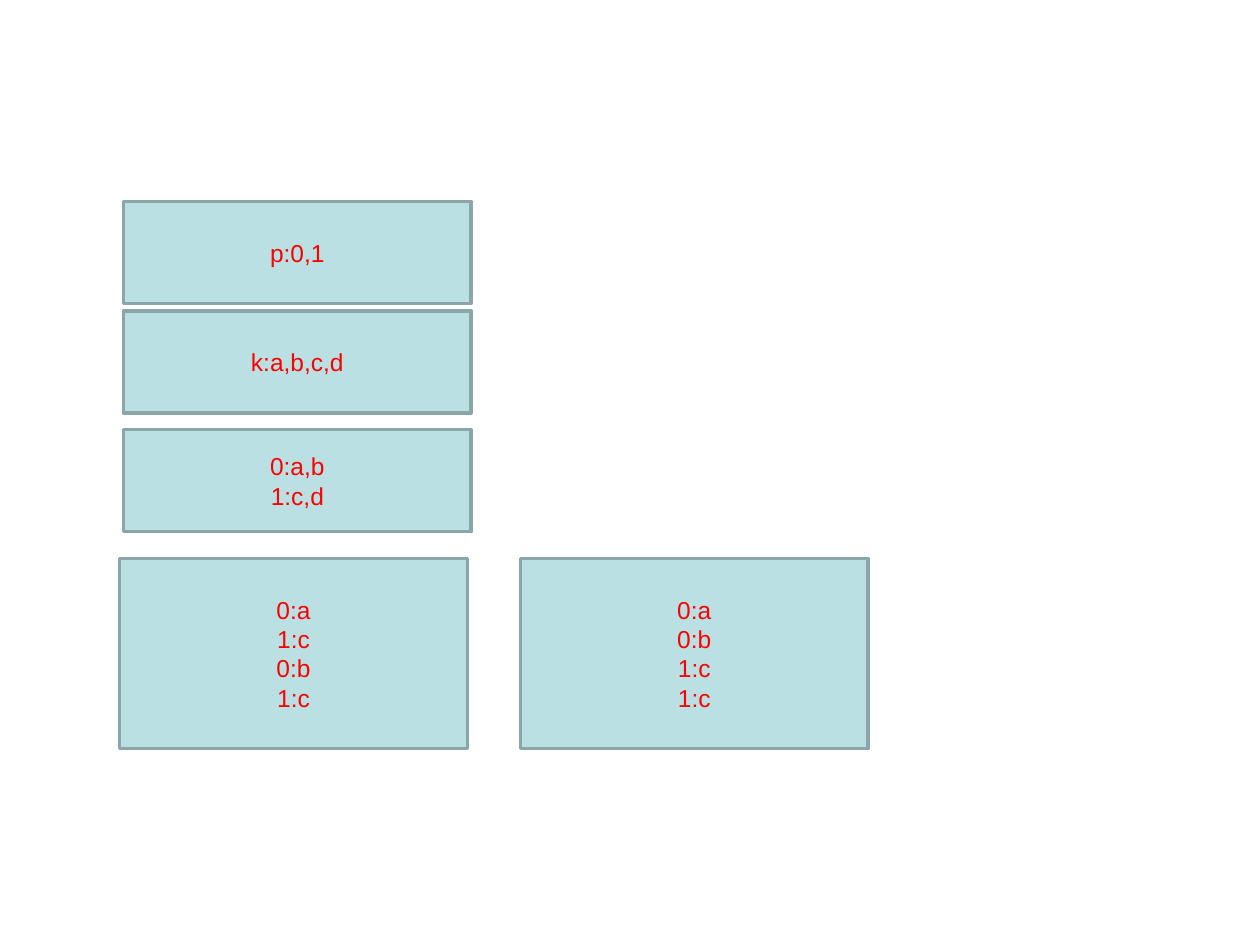
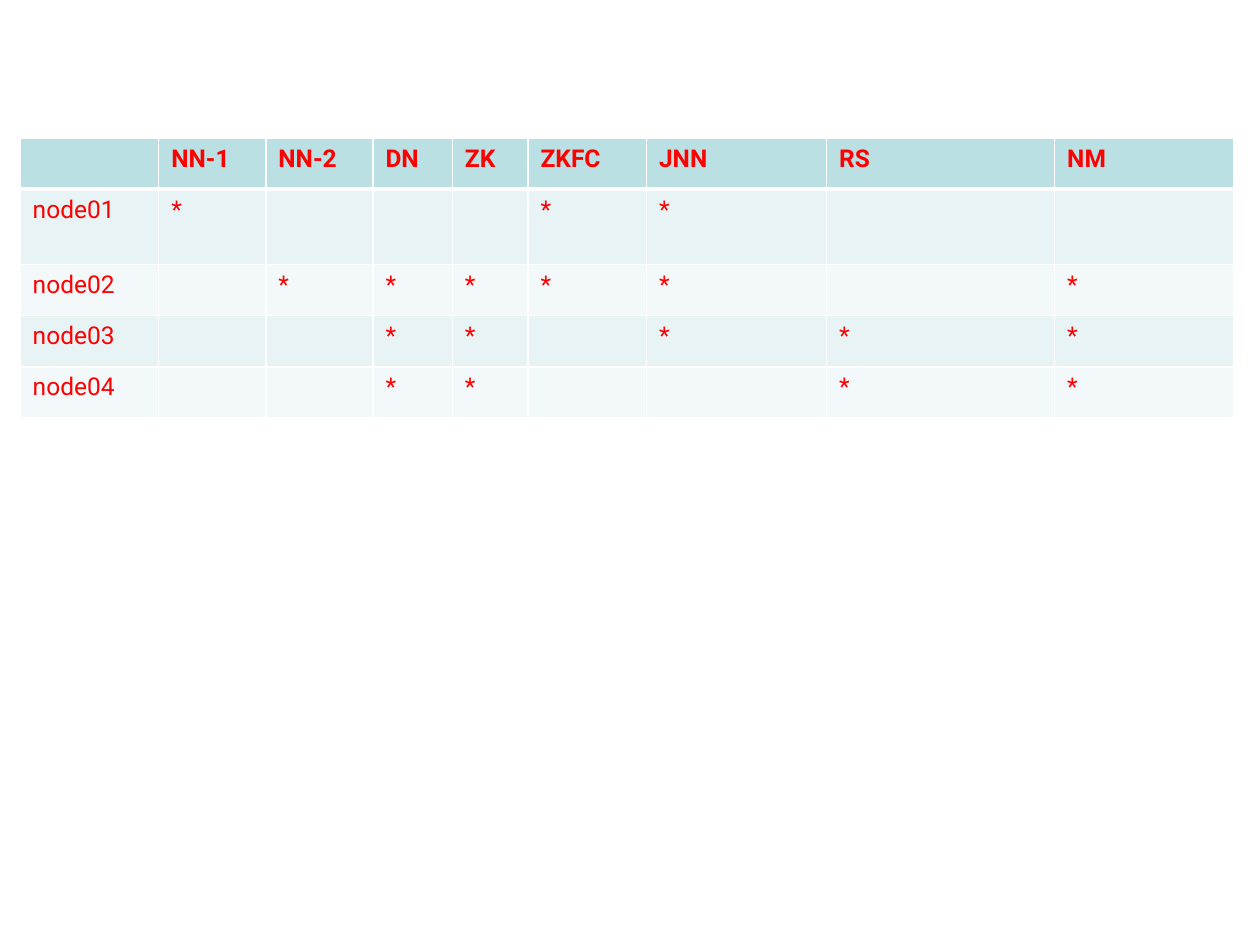
import dataclasses

import lxml.etree
import pptx
import pptx.dml.color
import pptx.enum.shapes
import pptx.enum.text
import pptx.oxml.ns
import pptx.util

Pt = pptx.util.Pt
RGB = pptx.dml.color.RGBColor.from_string
qn = pptx.oxml.ns.qn


@dataclasses.dataclass(frozen=True)
class Theme:
    accent: str = "BBE0E3"
    outline: str = "8AA6A8"
    text: str = "FF0000"
    grid: str = "FFFFFF"
    bands: tuple = ("E7F3F4", "F3F9FA")
    size: float = 14
    box_font: str = "Arial"
    table_font: str = "Roboto"


THEME = Theme()

BOX_WIDTH = 198.7
BOXES = [
    (70.6, 115.2, 58.3, ["p:0,1"]),
    (70.6, 177.8, 58.3, ["k:a,b,c,d"]),
    (68.4, 319, 108.7, ["0:a", "1:c", "0:b", "1:c"]),
    (70.6, 245.5, 58.3, ["0:a,b", "1:c,d"]),
    (297.4, 319, 108.7, ["0:a", "0:b", "1:c", "1:c"]),
]

ROLES = ["NN-1", "NN-2", "DN", "ZK", "ZKFC", "JNN", "RS", "NM"]
NODE_ROLES = {
    "node01": ["NN-1", "ZKFC", "JNN"],
    "node02": ["NN-2", "DN", "ZK", "ZKFC", "JNN", "NM"],
    "node03": ["DN", "ZK", "JNN", "RS", "NM"],
    "node04": ["DN", "ZK", "RS", "NM"],
}
COLUMN_WIDTHS = [79.2, 61.2, 61.2, 45.4, 43.2, 67.7, 103, 130.3, 102.2]
ROW_HEIGHTS = [29.2, 43.2, 29.2, 29.2, 29.2]


def write_text(tf, lines, font, align=None, bold=False):
    for i, line in enumerate(lines):
        p = tf.paragraphs[0] if i == 0 else tf.add_paragraph()
        p.alignment = align
        r = p.add_run()
        r.text = line
        r.font.name = font
        r.font.size = Pt(THEME.size)
        r.font.bold = bold
        r.font.color.rgb = RGB(THEME.text)


def add_box(s, left, top, height, lines):
    sp = s.shapes.add_shape(pptx.enum.shapes.MSO_SHAPE.RECTANGLE,
                            Pt(left), Pt(top), Pt(BOX_WIDTH), Pt(height))
    sp.shadow.inherit = False
    sp.fill.solid()
    sp.fill.fore_color.rgb = RGB(THEME.accent)
    sp.line.color.rgb = RGB(THEME.outline)
    sp.line.width = Pt(2)
    tf = sp.text_frame
    tf.vertical_anchor = pptx.enum.text.MSO_ANCHOR.MIDDLE
    write_text(tf, lines, THEME.box_font, align=pptx.enum.text.PP_ALIGN.CENTER)


def set_borders(cell, top=1, bottom=1):
    tc_pr = cell._tc.get_or_add_tcPr()
    widths = {"a:lnL": 1, "a:lnR": 1, "a:lnT": top, "a:lnB": bottom}
    for i, (tag, width) in enumerate(widths.items()):
        ln = lxml.etree.Element(qn(tag), w=str(Pt(width)))
        fill = lxml.etree.SubElement(ln, qn("a:solidFill"))
        lxml.etree.SubElement(fill, qn("a:srgbClr"), val=THEME.grid)
        tc_pr.insert(i, ln)


def add_table(s, left, top, rows):
    frame = s.shapes.add_table(len(rows), len(COLUMN_WIDTHS), Pt(left), Pt(top),
                               Pt(sum(COLUMN_WIDTHS)), Pt(sum(ROW_HEIGHTS)))
    table = frame.table
    for column, width in zip(table.columns, COLUMN_WIDTHS):
        column.width = Pt(width)
    for row, height in zip(table.rows, ROW_HEIGHTS):
        row.height = Pt(height)
    for i, values in enumerate(rows):
        header = i == 0
        for j, value in enumerate(values):
            cell = table.cell(i, j)
            cell.fill.solid()
            color = THEME.accent if header else THEME.bands[(i - 1) % 2]
            cell.fill.fore_color.rgb = RGB(color)
            set_borders(cell, top=3 if i == 1 else 1, bottom=3 if header else 1)
            if value:
                write_text(cell.text_frame, [value], THEME.table_font, bold=header)


def main():
    prs = pptx.Presentation()
    prs.slide_width, prs.slide_height = Pt(720), Pt(540)
    blank = prs.slide_layouts[6]

    s = prs.slides.add_slide(blank)
    for box in BOXES:
        add_box(s, *box)

    s = prs.slides.add_slide(blank)
    rows = [[""] + ROLES]
    for node, roles in NODE_ROLES.items():
        rows.append([node] + ["*" if role in roles else "" for role in ROLES])
    add_table(s, 11.5, 78.8, rows)

    prs.save("out.pptx")


if __name__ == "__main__":
    main()
